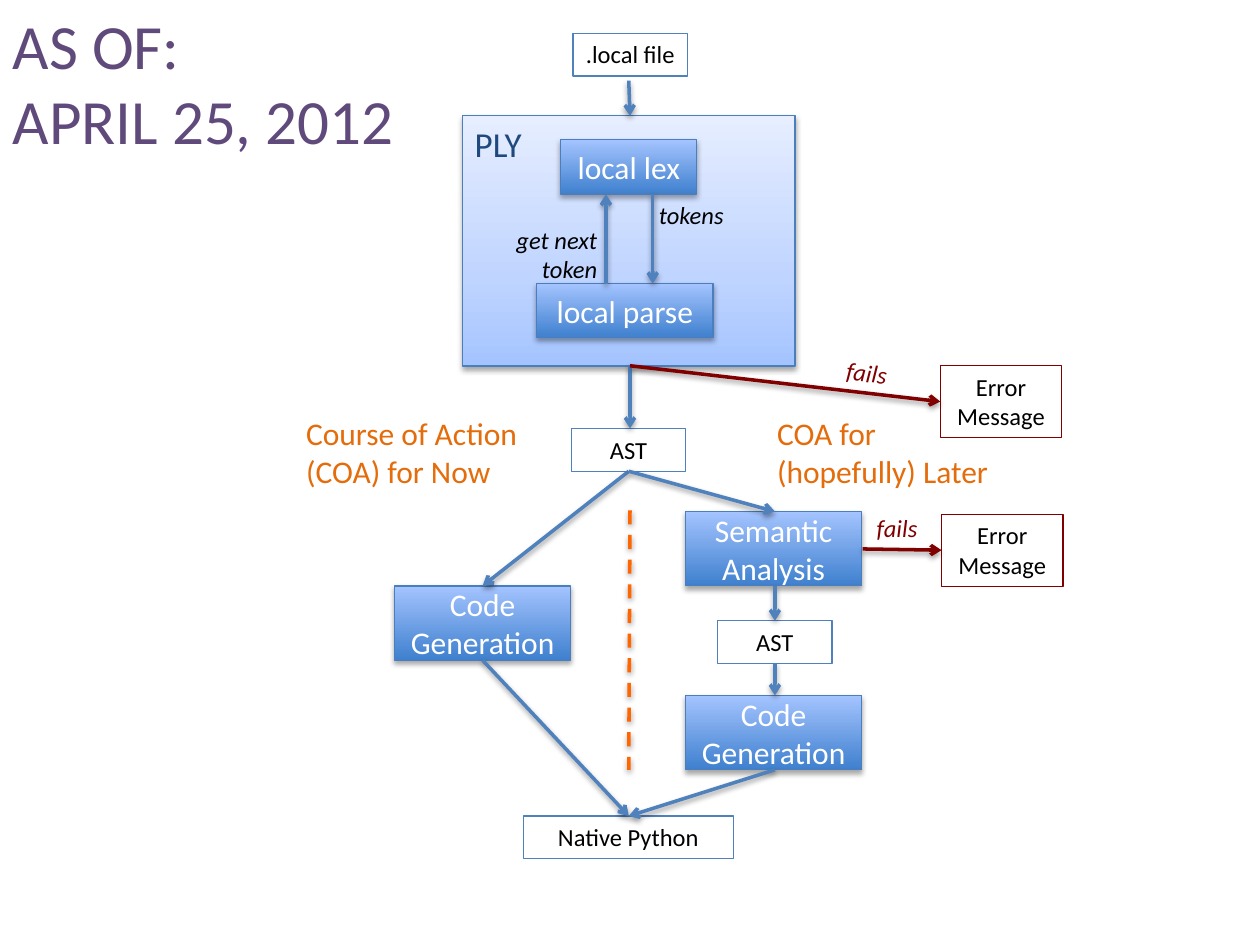
from dataclasses import dataclass

from lxml import etree
from pptx import Presentation
from pptx.dml.color import RGBColor
from pptx.enum.dml import MSO_LINE
from pptx.enum.shapes import MSO_CONNECTOR, MSO_SHAPE
from pptx.enum.text import MSO_ANCHOR, MSO_AUTO_SIZE, PP_ALIGN
from pptx.oxml.ns import qn
from pptx.util import Pt

RECT = MSO_SHAPE.RECTANGLE
STRAIGHT = MSO_CONNECTOR.STRAIGHT
DASH = MSO_LINE.DASH
TOP, MIDDLE = MSO_ANCHOR.TOP, MSO_ANCHOR.MIDDLE
LEFT, CENTER, RIGHT = PP_ALIGN.LEFT, PP_ALIGN.CENTER, PP_ALIGN.RIGHT
NO_FIT = MSO_AUTO_SIZE.NONE


@dataclass(frozen=True)
class Theme:
    """Colours, type sizes and gradients of the slide."""
    font: str = "Calibri"
    head: str = "604A7B"
    navy: str = "1F497D"
    blue: str = "4F81BD"
    edge: str = "4B7EBC"
    red: str = "800000"
    amber: str = "E46C0A"
    split: str = "FF6600"
    black: str = "000000"
    white: str = "FFFFFF"
    title: float = 36
    group: float = 20
    step: float = 18
    note: float = 14
    thin: float = 0.75
    thick: float = 2
    deep: tuple = ((0, "3F80CE"), (100, "A4C4FF"))
    pale: tuple = ((0, "A4C4FF"), (35, "BFD4FF"), (100, "E6EEFF"))


T = Theme()


@dataclass(frozen=True)
class Box:
    """A framed box; grad is empty for a plain one."""
    text: str
    x: float
    y: float
    w: float
    h: float
    line: str = T.edge
    grad: tuple = T.deep
    size: float = T.step
    color: str = T.white
    align: PP_ALIGN = CENTER
    anchor: MSO_ANCHOR = MIDDLE


@dataclass(frozen=True)
class Label:
    """Free text without a frame."""
    text: str
    x: float
    y: float
    w: float
    h: float
    color: str = T.black
    size: float = T.note
    slant: bool = True
    align: PP_ALIGN = LEFT
    turn: float = 0


@dataclass(frozen=True)
class Link:
    """A line between two points, with an arrowhead unless dashed."""
    x1: float
    y1: float
    x2: float
    y2: float
    color: str = T.blue
    dash: bool = False


def plain(text: str, x: float, y: float, w: float = 65.5, h: float = 24.5,
          line: str = T.blue) -> Box:
    """Describe an unfilled data box."""
    return Box(text, x, y, w, h, line, (), T.note, T.black, CENTER, TOP)


def node(parent, tag: str, **attrs):
    """Add a DrawingML child element."""
    return etree.SubElement(parent, qn(tag), {k: str(v) for k, v in attrs.items()})


def shade(props, alpha: int = 38, dist: float = 1.6) -> None:
    """Add a soft shadow that falls straight down."""
    effects = props.find(qn("a:effectLst"))
    if effects is None:
        effects = node(props, "a:effectLst")
    cast = node(effects, "a:outerShdw", blurRad=Pt(3.15), dist=Pt(dist),
                dir=5400000, rotWithShape=0)
    node(node(cast, "a:srgbClr", val=T.black), "a:alpha", val=alpha * 1000)


def blend(shape, stops: tuple) -> None:
    """Fill a shape with a gradient that runs upward."""
    shape.fill.gradient()
    shape.fill.gradient_angle = 90
    rows = shape._element.spPr.find(qn("a:gradFill")).find(qn("a:gsLst"))
    for old in list(rows):
        rows.remove(old)
    for pos, color in stops:
        node(node(rows, "a:gs", pos=pos * 1000), "a:srgbClr", val=color)


def write(frame, lines: list[str], size: float, color: str,
          align: PP_ALIGN = LEFT, anchor: MSO_ANCHOR = TOP, slant: bool = False) -> None:
    """Write one run to a paragraph in a text frame."""
    frame.word_wrap = True
    frame.auto_size = NO_FIT
    frame.vertical_anchor = anchor
    for i, line in enumerate(lines):
        para = frame.add_paragraph() if i else frame.paragraphs[0]
        para.alignment = align
        run = para.add_run()
        run.text = line
        font = run.font
        font.name, font.size, font.italic = T.font, Pt(size), slant
        font.color.rgb = RGBColor.from_string(color)


def draw_box(shapes, box: Box) -> None:
    """Draw a framed box with its text."""
    shape = shapes.add_shape(RECT, Pt(box.x), Pt(box.y), Pt(box.w), Pt(box.h))
    shape.line.color.rgb = RGBColor.from_string(box.line)
    shape.line.width = Pt(T.thin)
    shape.shadow.inherit = False
    if box.grad:
        blend(shape, box.grad)
        shade(shape._element.spPr, 35, 1.8)
    else:
        shape.fill.background()
    write(shape.text_frame, [box.text], box.size, box.color, box.align, box.anchor)


def draw_link(shapes, link: Link) -> None:
    """Draw an arrow or a dashed divider."""
    wire = shapes.add_connector(STRAIGHT, Pt(link.x1), Pt(link.y1), Pt(link.x2), Pt(link.y2))
    wire.line.color.rgb = RGBColor.from_string(link.color)
    wire.line.width = Pt(T.thick)
    props = wire._element.spPr
    if link.dash:
        wire.line.dash_style = DASH
    else:
        node(props.find(qn("a:ln")), "a:tailEnd", type="arrow")
    shade(props)


def draw_label(shapes, label: Label) -> None:
    """Draw free text."""
    area = shapes.add_textbox(Pt(label.x), Pt(label.y), Pt(label.w), Pt(label.h))
    area.rotation = label.turn
    write(area.text_frame, [label.text], label.size, label.color, label.align,
          slant=label.slant)


def draw_title(title) -> None:
    """Place and write the slide title."""
    title.left, title.top, title.width, title.height = Pt(0), Pt(0), Pt(244), Pt(94.3)
    write(title.text_frame, ["AS OF:", "APRIL 25, 2012"], T.title, T.head)


MID, NOW, LATER = 359.3, 275.8, 442.8
STEP_W, STEP_H = 100.8, 42.5

BOXES = [
    Box("PLY", 264.2, 66.2, 190.1, 143, T.edge, T.pale, T.group, T.navy, LEFT, TOP),
    Box("local lex", 320.4, 79.9, 77.8, 31),
    Box("local parse", 306.7, 162, STEP_W, 31),
    Box("Code Generation", 225.4, 334.8, STEP_W, STEP_H),
    Box("Semantic Analysis", 391.7, 292.3, STEP_W, STEP_H),
    Box("Code Generation", 391.7, 397.4, STEP_W, STEP_H),
    plain(".local file", 327.4, 19),
    plain("AST", 326.4, 244.8),
    plain("AST", 410, 354.7),
    plain("Native Python", 299, 466.3, 120.2),
    plain("Error Message", 537.3, 208.8, 69.5, 41.2, T.red),
    plain("Error Message", 538, 293.8, 69.5, 41.2, T.red),
]

LINKS = [
    Link(373, 111, 373, 162),
    Link(346.3, 162, 346.3, 111),
    Link(MID, 46.1, 360, 66.2),
    Link(360, 209, 360, 244.8),
    Link(MID, 269.3, NOW, 334.8),
    Link(MID, 269.3, LATER, 292.3),
    Link(LATER, 334.8, LATER, 354.7),
    Link(LATER, 379, LATER, 397.4),
    Link(NOW, 377.3, MID, 466.3),
    Link(LATER, 439.9, MID, 466.3),
    Link(360, 291.6, MID, 439.9, T.split, True),
    Link(360, 209, 537.3, 229.5, T.red),
    Link(493, 313.7, 538, 314.4, T.red),
]

LABELS = [
    Label("tokens", 369.4, 111, 65.5, 24.5),
    Label("get next token", 275, 124.8, 73.4, 41.2, align=RIGHT),
    Label("fails", 476.6, 202.3, 60.5, 24.5, T.red, turn=7.2),
    Label("fails", 493.9, 289.7, 60.5, 24.5, T.red),
    Label("Course of Action (COA) for Now", 167.8, 233.3, 139, 51, T.amber, T.step, False),
    Label("COA for (hopefully) Later", 437, 233.3, 144, 51, T.amber, T.step, False),
]


def main() -> None:
    """Build the slide and save it."""
    deck = Presentation()
    deck.slide_width, deck.slide_height = Pt(720), Pt(540)
    shapes = deck.slides.add_slide(deck.slide_layouts[5]).shapes
    draw_title(shapes.title)
    for draw, items in ((draw_box, BOXES), (draw_link, LINKS), (draw_label, LABELS)):
        for item in items:
            draw(shapes, item)
    deck.save("out.pptx")


main()
